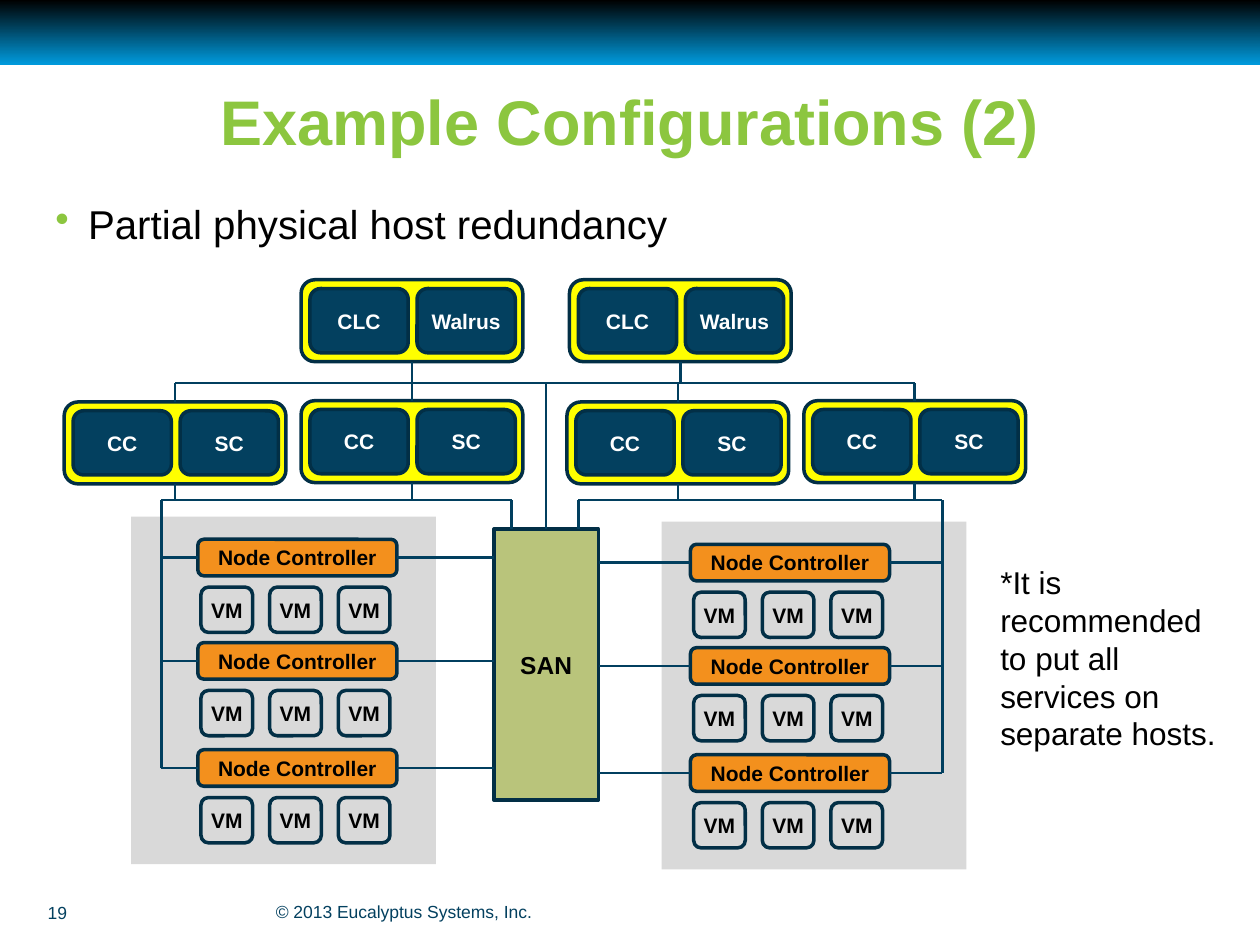
from lxml.etree import SubElement
from pptx import Presentation
from pptx.dml.color import RGBColor
from pptx.enum.shapes import MSO_CONNECTOR as CONN, MSO_SHAPE as SHAPE
from pptx.enum.text import MSO_ANCHOR as ANCHOR, PP_ALIGN as ALIGN
from pptx.oxml.ns import qn
from pptx.util import Inches, Pt

BLACK = RGBColor(0x00, 0x00, 0x00)
WHITE = RGBColor(0xFF, 0xFF, 0xFF)
GREEN = RGBColor(0x8C, 0xC6, 0x3F)
NAVY = RGBColor(0x03, 0x40, 0x5F)
WIRE = RGBColor(0x01, 0x3F, 0x5F)
EDGE = RGBColor(0x02, 0x2F, 0x46)
SKY = RGBColor(0x00, 0x99, 0xDB)
YELLOW = RGBColor(0xFF, 0xFF, 0x00)
ORANGE = RGBColor(0xF3, 0x90, 0x1D)
OLIVE = RGBColor(0xB9, 0xC4, 0x7B)
GREY = RGBColor(0xD9, 0xD9, 0xD9)

COLS, ROWS = 100, 75
TOP, LEFT, BOTTOM, RIGHT = range(4)


class Deck:
    """Holds the style and current slide; lengths are columns and rows of a 100 by 75 grid."""

    def __init__(self, font="Arial"):
        self.font = font
        self.prs = Presentation()
        self.prs.slide_width, self.prs.slide_height = Inches(10), Inches(7.5)
        self.s = self.prs.slides.add_slide(self.prs.slide_layouts[6])

    def x(self, cols):
        return round(self.prs.slide_width * cols / COLS)

    def y(self, rows):
        return round(self.prs.slide_height * rows / ROWS)

    def frame(self, x, y, w, h):
        return self.x(x), self.y(y), self.x(w), self.y(h)

    def run(self, p, text, size, color, bold=False):
        r = p.add_run()
        r.text = text
        r.font.name, r.font.size, r.font.bold = self.font, Pt(size), bold
        r.font.color.rgb = color

    def text(self, text, x, y, w, h, size, color=BLACK, bold=False,
             align=ALIGN.LEFT, anchor=ANCHOR.TOP, spacing=None):
        tf = self.s.shapes.add_textbox(*self.frame(x, y, w, h)).text_frame
        tf.word_wrap, tf.vertical_anchor = True, anchor
        p = tf.paragraphs[0]
        p.alignment, p.line_spacing = align, spacing
        self.run(p, text, size, color, bold)
        return p

    def bullet(self, text, x, y, w, h, size):
        pPr = self.text(text, x, y, w, h, size, spacing=0.95)._p.get_or_add_pPr()
        pPr.set("marL", str(Inches(0.26)))
        pPr.set("indent", str(-Inches(0.26)))
        color = SubElement(pPr, qn("a:buClr"))
        SubElement(color, qn("a:srgbClr"), val=str(GREEN))
        SubElement(pPr, qn("a:buChar"), char="•")

    def box(self, x, y, w, h, fill=None, edge=EDGE, label="", size=12,
            color=BLACK, kind=SHAPE.ROUNDED_RECTANGLE):
        sp = self.s.shapes.add_shape(kind, *self.frame(x, y, w, h))
        sp.shadow.inherit = False
        if fill is None:
            sp.fill.background()
        else:
            sp.fill.solid()
            sp.fill.fore_color.rgb = fill
        if edge is None:
            sp.line.fill.background()
        else:
            sp.line.color.rgb, sp.line.width = edge, Pt(2)
        if label:
            tf = sp.text_frame
            tf.margin_left = tf.margin_right = tf.margin_top = tf.margin_bottom = 0
            tf.vertical_anchor = ANCHOR.MIDDLE
            tf.paragraphs[0].alignment = ALIGN.CENTER
            self.run(tf.paragraphs[0], label, size, color, True)
        return sp

    def banner(self, h):
        sp = self.box(0, 0, COLS, h, edge=None, kind=SHAPE.RECTANGLE)
        sp.fill.gradient()
        sp.fill.gradient_angle = 270
        for stop, color in zip(sp.fill.gradient_stops, (BLACK, SKY)):
            stop.color.rgb = color

    def line(self, x1, y1, x2, y2, begin=None, end=None):
        c = self.s.shapes.add_connector(
            CONN.STRAIGHT, self.x(x1), self.y(y1), self.x(x2), self.y(y2))
        c.line.color.rgb, c.line.width = WIRE, Pt(1.5)
        SubElement(c._element.spPr, qn("a:effectLst"))
        if begin:
            c.begin_connect(*begin)
        if end:
            c.end_connect(*end)

    def host(self, x, y, labels):
        sp = self.box(x, y, 17.6, 6.5, YELLOW)
        for i, label in enumerate(labels):
            self.box(x + 0.7 + 8.5 * i, y + 0.7, 7.8, 5.1, NAVY, label=label, color=WHITE)
        return sp

    def node(self, x, y):
        sp = self.box(x, y, 15.8, 2.9, ORANGE, label="Node Controller")
        for i in range(3):
            self.box(x + 0.25 + 5.45 * i, y + 3.8, 4.1, 3.6, label="VM")
        return sp


def main():
    d = Deck()
    d.banner(5.1)
    d.text("Example Configurations (2)", 3.4, 6.6, 93.2, 12, 36, GREEN, True,
           ALIGN.CENTER, spacing=0.93)
    d.bullet("Partial physical host redundancy", 3.4, 15.6, 93.2, 6.9, 23)

    san_x, san_w, san_y = 39.2, 8.3, 42
    upper_bus, lower_bus = 30.4, 39.7
    san = d.box(san_x, san_y, san_w, 21.5, OLIVE, label="SAN", size=14, kind=SHAPE.RECTANGLE)
    d.line(san_x + san_w / 2, upper_bus, san_x + san_w / 2, san_y, end=(san, TOP))
    d.line(13.9, upper_bus, 72.6, upper_bus)

    for x in (23.9, 45.2):
        host = d.host(x, 22.2, ("CLC", "Walrus"))
        d.line(x + 8.8, 28.7, x + 8.8, upper_bus, begin=(host, BOTTOM))
    for x, y in ((5.1, 31.9), (23.9, 31.8), (45, 31.9), (63.8, 31.8)):
        host = d.host(x, y, ("CC", "SC"))
        d.line(x + 8.8, upper_bus, x + 8.8, y, end=(host, TOP))
        d.line(x + 8.8, y + 6.5, x + 8.8, lower_bus, begin=(host, BOTTOM))

    sides = (
        (10.4, 41, 15.7, 12.8, 40.6, san_x, LEFT, RIGHT),
        (52.5, 41.4, 54.8, 74.8, 45.9, san_x + san_w, RIGHT, LEFT),
    )
    for rack_x, rack_y, node_x, rail_x, riser_x, san_edge, outer, inner in sides:
        d.box(rack_x, rack_y, 24.2, 27.6, GREY, None, kind=SHAPE.RECTANGLE)
        d.line(rail_x, lower_bus, riser_x, lower_bus)
        d.line(riser_x, lower_bus, riser_x, san_y)
        for drop in (1.8, 10, 18.5):
            node = d.node(node_x, rack_y + drop)
            mid = rack_y + drop + 1.45
            d.line(node_x, mid, rail_x, mid, begin=(node, outer))
            d.line(node_x, mid, san_edge, mid, begin=(node, inner))
        d.line(rail_x, lower_bus, rail_x, mid)

    d.text("*It is recommended to put all services on separate hosts.",
           78.4, 44.2, 19.5, 16.2, 18)
    d.text("19", 2.8, 70.7, 5, 3.4, 10, NAVY, anchor=ANCHOR.MIDDLE)
    d.text("© 2013 Eucalyptus Systems, Inc.", 20.9, 71, 29.1, 2.7, 10, NAVY,
           anchor=ANCHOR.MIDDLE)
    d.prs.save("out.pptx")


if __name__ == "__main__":
    main()
